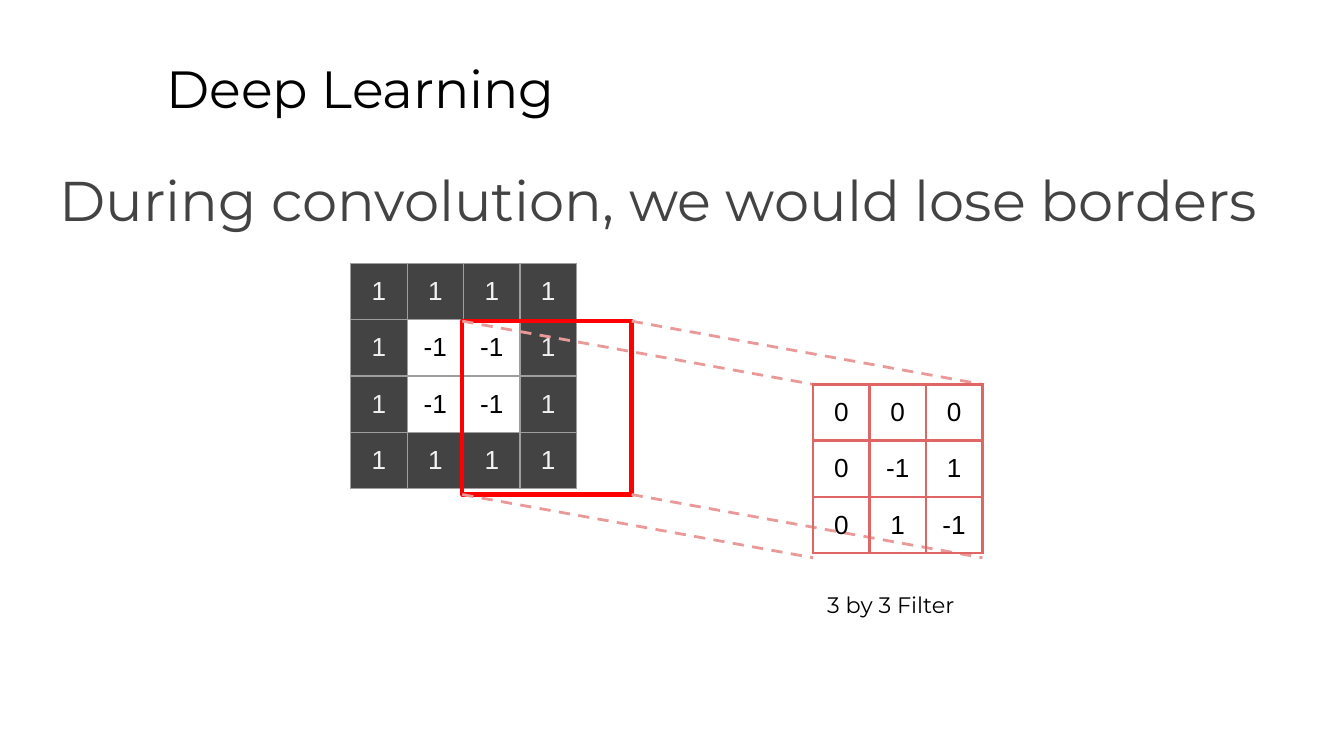
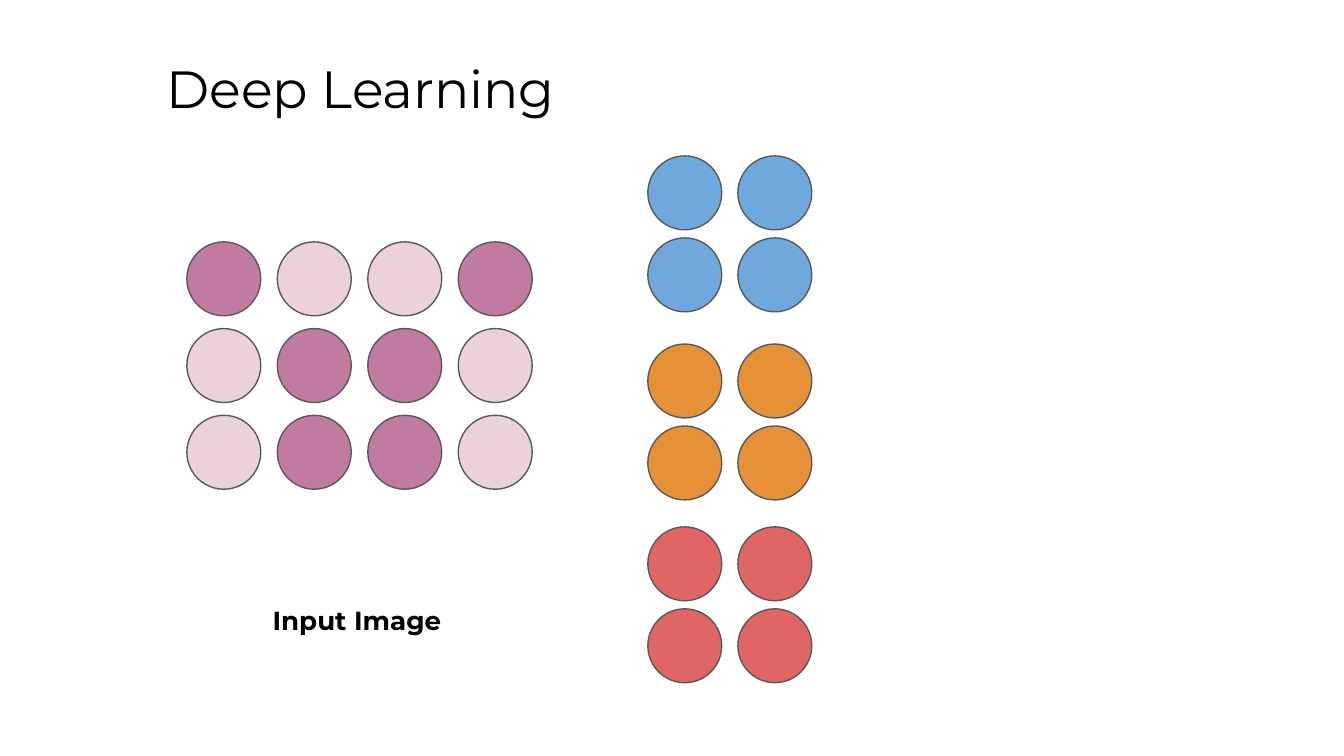
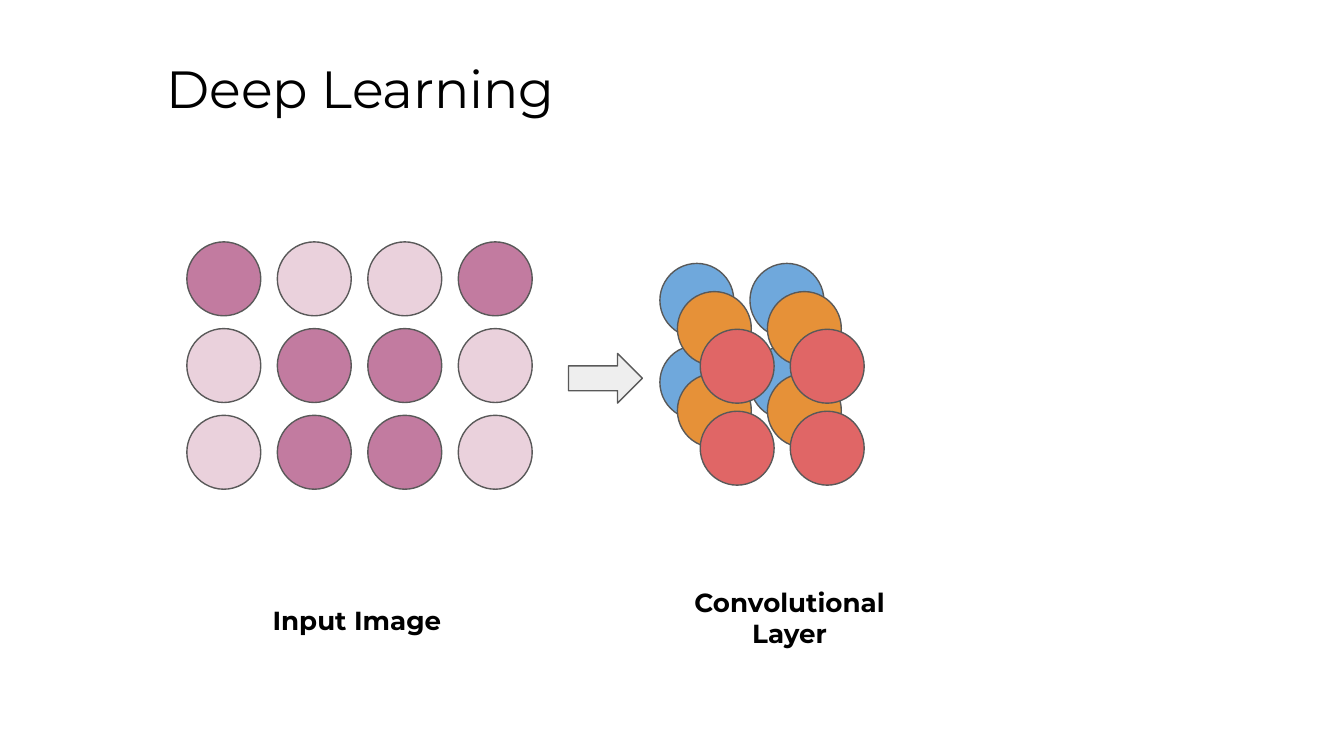
"""Build three slides on convolution, border loss and convolutional layers."""
from dataclasses import dataclass

from lxml import etree
from pptx import Presentation
from pptx.dml.color import RGBColor
from pptx.enum.dml import MSO_LINE
from pptx.enum.shapes import MSO_CONNECTOR, MSO_SHAPE
from pptx.enum.text import MSO_ANCHOR, MSO_AUTO_SIZE, PP_ALIGN
from pptx.oxml.ns import qn
from pptx.util import Inches, Pt

LEFT, CENTER = PP_ALIGN.LEFT, PP_ALIGN.CENTER
TOP, NO_FIT = MSO_ANCHOR.TOP, MSO_AUTO_SIZE.NONE
DASH, STRAIGHT = MSO_LINE.DASH, MSO_CONNECTOR.STRAIGHT
RECTANGLE, OVAL, ARROW = MSO_SHAPE.RECTANGLE, MSO_SHAPE.OVAL, MSO_SHAPE.RIGHT_ARROW
TITLE_AND_BODY, TITLE_ONLY = 1, 5


@dataclass(frozen=True)
class Theme:
    font: str = "Montserrat"
    digit_font: str = "Arial"
    title_size: int = 28
    body_size: int = 30
    label_size: int = 14
    caption_size: int = 12
    ink: str = "000000"
    body_ink: str = "434343"
    dark_cell: str = "434343"
    outer_digit: str = "F3F3F3"
    inner_digit: str = "EFEFEF"
    image_border: str = "9E9E9E"
    filter_border: str = "E06666"
    window: str = "FF0000"
    projection: str = "EA9999"
    outline: str = "595959"
    arrow: str = "EEEEEE"
    on: str = "C27BA0"
    off: str = "EAD1DC"
    blue: str = "6FA8DC"
    orange: str = "E69138"
    red: str = "E06666"


THEME = Theme()

TITLE = "Deep Learning"
TITLE_BOX = (1.14, 0.32, 8.52, 0.63)
MESSAGE = "During convolution, we would lose borders"
MESSAGE_BOX = (0.34, 1.06, 9.32, 0.68)

IMAGE_VALUES = [
    ["1", "1", "1", "1"],
    ["1", "-1", "-1", "1"],
    ["1", "-1", "-1", "1"],
    ["1", "1", "1", "1"],
]
FILTER_VALUES = [
    ["0", "0", "0"],
    ["0", "-1", "1"],
    ["0", "1", "-1"],
]
IMAGE_AT, FILTER_AT = (2.61, 1.96), (6.05, 2.86)
CELL_WIDTH, CELL_HEIGHT = 0.42, 0.4
WINDOW_BOX = (3.44, 2.39, 1.26, 1.29)
FILTER_LABEL = ("3 by 3 Filter", (5.96, 4.3, 1.44, 0.43))

INPUT_PIXELS = ["X..X", ".XX.", ".XX."]
INPUT_AT, INPUT_SPAN = (1.39, 1.8), (2.02, 1.29)
INPUT_LABEL = ("Input Image", (1.93, 4.4, 1.6, 0.55))
LAYER_LABEL = ("Convolutional\nLayer", (5.05, 4.26, 1.65, 0.55))
LAYER_COLORS = [THEME.blue, THEME.orange, THEME.red]
LAYER_SPAN = (0.67, 0.61)
SEPARATE_LAYERS = [(4.82, 1.16), (4.82, 2.56), (4.82, 3.92)]
STACKED_LAYERS = [(4.91, 1.96), (5.04, 2.17), (5.21, 2.45)]
DOT = 0.55
ARROW_BOX = (4.23, 2.63, 0.55, 0.37)
MARGIN = 0.1


def inches(box):
    return [Inches(length) for length in box]


def rgb(color):
    return RGBColor.from_string(color)


def put_text(frame, text, size=THEME.label_size, color=THEME.ink, font=THEME.font,
             bold=False, align=LEFT, line_spacing=1.0, space_after=0):
    for index, line in enumerate(text.split("\n")):
        paragraph = frame.add_paragraph() if index else frame.paragraphs[0]
        paragraph.alignment = align
        paragraph.line_spacing = line_spacing
        paragraph.space_before, paragraph.space_after = Pt(0), Pt(space_after)
        run = paragraph.add_run()
        run.text = line
        run.font.name, run.font.size, run.font.bold = font, Pt(size), bold
        run.font.color.rgb = rgb(color)


def set_margins(holder, right=MARGIN):
    holder.margin_left = holder.margin_top = holder.margin_bottom = Inches(MARGIN)
    holder.margin_right = Inches(right)


def fill_holder(holder, box, text, right_margin=MARGIN, **style):
    holder.left, holder.top, holder.width, holder.height = inches(box)
    frame = holder.text_frame
    frame.word_wrap, frame.auto_size, frame.vertical_anchor = True, NO_FIT, TOP
    set_margins(frame, right_margin)
    put_text(frame, text, **style)


def add_label(slide, label, **style):
    text, box = label
    fill_holder(slide.shapes.add_textbox(*inches(box)), box, text, **style)


def add_slide(deck, layout):
    slide = deck.slides.add_slide(deck.slide_layouts[layout])
    fill_holder(slide.shapes.title, TITLE_BOX, TITLE, size=THEME.title_size)
    return slide


def add_figure(slide, kind, box, fill=None, line=THEME.outline, width=0.75):
    figure = slide.shapes.add_shape(kind, *inches(box))
    figure.shadow.inherit = False
    if fill:
        figure.fill.solid()
        figure.fill.fore_color.rgb = rgb(fill)
    else:
        figure.fill.background()
    figure.line.color.rgb = rgb(line)
    figure.line.width = Pt(width)


def add_projection(slide, start, end):
    ray = slide.shapes.add_connector(STRAIGHT, *inches(start + end))
    ray.line.color.rgb = rgb(THEME.projection)
    ray.line.width, ray.line.dash_style = Pt(1.5), DASH
    etree.SubElement(ray.element.spPr, qn("a:effectLst"))


def set_borders(cell, color, width):
    properties = cell._tc.get_or_add_tcPr()
    for index, side in enumerate(("a:lnL", "a:lnR", "a:lnT", "a:lnB")):
        border = etree.Element(qn(side), w=str(Pt(width)))
        solid = etree.SubElement(border, qn("a:solidFill"))
        etree.SubElement(solid, qn("a:srgbClr"), val=color)
        properties.insert(index, border)


def image_cell_style(value, row):
    if value == "-1":
        return None, THEME.ink
    inner = 0 < row < len(IMAGE_VALUES) - 1
    return THEME.dark_cell, THEME.inner_digit if inner else THEME.outer_digit


def filter_cell_style(value, row):
    return None, THEME.ink


def add_matrix(slide, values, at, cell_style, border, width):
    rows, columns = len(values), len(values[0])
    size = (columns * CELL_WIDTH, rows * CELL_HEIGHT)
    matrix = slide.shapes.add_table(rows, columns, *inches(at + size)).table
    matrix.first_row = matrix.horz_banding = False
    for column in matrix.columns:
        column.width = Inches(CELL_WIDTH)
    for row, line in enumerate(values):
        matrix.rows[row].height = Inches(CELL_HEIGHT)
        for column, value in enumerate(line):
            cell = matrix.cell(row, column)
            fill, ink = cell_style(value, row)
            set_margins(cell)
            if fill:
                cell.fill.solid()
                cell.fill.fore_color.rgb = rgb(fill)
            else:
                cell.fill.background()
            set_borders(cell, border, width)
            put_text(cell.text_frame, value, color=ink, font=THEME.digit_font, align=CENTER)


def add_dots(slide, colors, at, span):
    x_step, y_step = span[0] / (len(colors[0]) - 1), span[1] / (len(colors) - 1)
    for row, line in enumerate(colors):
        for column, color in enumerate(line):
            box = (at[0] + column * x_step, at[1] + row * y_step, DOT, DOT)
            add_figure(slide, OVAL, box, fill=color)


def add_border_slide(deck):
    slide = add_slide(deck, TITLE_AND_BODY)
    message = slide.placeholders[1]
    fill_holder(message, MESSAGE_BOX, MESSAGE, size=THEME.body_size,
                color=THEME.body_ink, line_spacing=1.15, space_after=16)
    properties = message.text_frame.paragraphs[0]._p.get_or_add_pPr()
    properties.set("marL", "0")
    properties.set("indent", "0")
    etree.SubElement(properties, qn("a:buNone"))

    add_matrix(slide, IMAGE_VALUES, IMAGE_AT, image_cell_style, THEME.image_border, 0.75)
    add_figure(slide, RECTANGLE, WINDOW_BOX, line=THEME.window, width=2.25)
    add_label(slide, FILTER_LABEL, size=THEME.caption_size, align=CENTER, right_margin=0.2)
    left, top, width, height = WINDOW_BOX
    for dx in (0, width):
        for dy in (0, height):
            add_projection(slide, (left + dx, top + dy), (FILTER_AT[0] + dx, FILTER_AT[1] + dy))
    add_matrix(slide, FILTER_VALUES, FILTER_AT, filter_cell_style, THEME.filter_border, 1.5)


def add_layer_slide(deck, layer_places):
    slide = add_slide(deck, TITLE_ONLY)
    pixels = [[THEME.on if mark == "X" else THEME.off for mark in line] for line in INPUT_PIXELS]
    add_dots(slide, pixels, INPUT_AT, INPUT_SPAN)
    add_label(slide, INPUT_LABEL, bold=True)
    for color, place in zip(LAYER_COLORS, layer_places):
        add_dots(slide, [[color] * 2] * 2, place, LAYER_SPAN)
    return slide


def main():
    deck = Presentation()
    deck.slide_width = Inches(10)
    deck.slide_height = deck.slide_width * 9 // 16
    add_border_slide(deck)
    add_layer_slide(deck, SEPARATE_LAYERS)
    stacked = add_layer_slide(deck, STACKED_LAYERS)
    add_figure(stacked, ARROW, ARROW_BOX, fill=THEME.arrow)
    add_label(stacked, LAYER_LABEL, bold=True, align=CENTER)
    deck.save("out.pptx")


if __name__ == "__main__":
    main()
